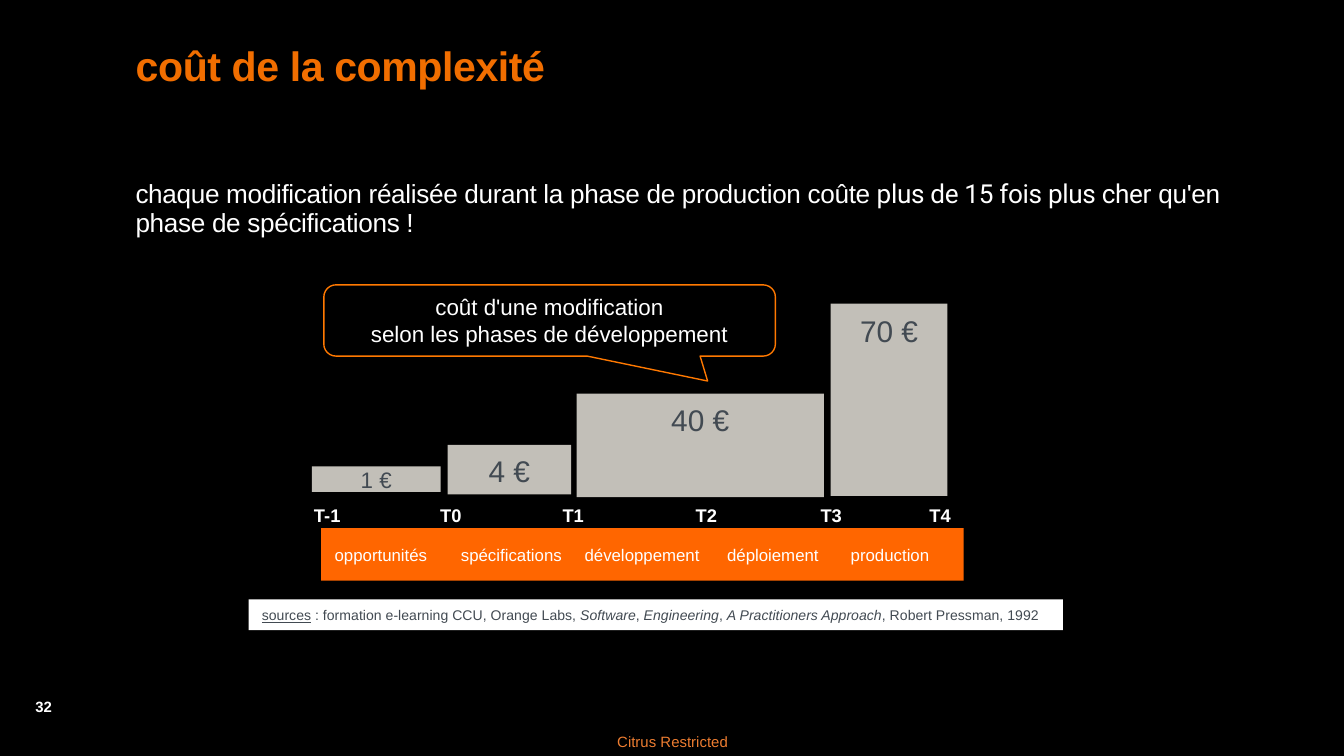
"""Build a slide showing how the cost of a change grows across development phases."""
from pptx import Presentation
from pptx.dml.color import RGBColor
from pptx.enum.shapes import MSO_SHAPE as Preset
from pptx.enum.text import MSO_ANCHOR as Anchor, PP_ALIGN as Align
from pptx.util import Inches, Pt

BLACK = RGBColor(0x00, 0x00, 0x00)
WHITE = RGBColor(0xFF, 0xFF, 0xFF)
TITLE_ORANGE = RGBColor(0xF1, 0x6E, 0x00)
CALLOUT_ORANGE = RGBColor(0xFF, 0x79, 0x00)
BAND_ORANGE = RGBColor(0xFF, 0x66, 0x00)
FOOTER_ORANGE = RGBColor(0xED, 0x7D, 0x31)
GREY = RGBColor(0xC2, 0xBF, 0xB8)
SLATE = RGBColor(0x42, 0x4A, 0x52)

TITLE = "coût de la complexité"
MESSAGE = [
    ("chaque modification réalisée durant la phase de production coûte ", {}),
    ("plus de 15 fois plus cher", {"name": "Roboto"}),
    (" qu'en phase de spécifications !", {}),
]
CALLOUT = "coût d'une modification\vselon les phases de développement"
BARS = [
    ("1 €", 12, 0, (2.32, 3.47, 0.96, 0.19)),
    ("4 €", 16, 0.06, (3.33, 3.31, 0.92, 0.37)),
    ("40 €", 16, 0.06, (4.29, 2.93, 1.84, 0.77)),
    ("70 €", 16, 0.07, (6.18, 2.26, 0.87, 1.43)),
]
SOURCES = [
    ("sources", {"underline": True}),
    (" : formation e-learning CCU, Orange Labs, ", {}),
    ("Software", {"italic": True}),
    (", ", {}),
    ("Engineering", {"italic": True}),
    (", ", {}),
    ("A Practitioners Approach", {"italic": True}),
    (", Robert Pressman, 1992", {}),
]
PHASES = [
    ("opportunités", 2.49, 0.69),
    ("spécifications", 3.43, 0.76),
    ("développement", 4.35, 0.86),
    ("déploiement", 5.41, 0.69),
    ("production", 6.33, 0.59),
]
MILESTONES = [("T-1", 2.21), ("T0", 3.13), ("T1", 4.04),
              ("T2", 5.03), ("T3", 5.96), ("T4", 6.77)]
NO_INSET = (0, 0, 0, 0)
DEFAULT_INSET = (0.1, 0.05, 0.1, 0.05)


def write(shape, content, size, color, bold=False, align=Align.LEFT, anchor=Anchor.TOP,
          inset=DEFAULT_INSET, wrap=True, line_spacing=None, tracking=None):
    frame = shape.text_frame
    frame.word_wrap = wrap
    frame.vertical_anchor = anchor
    (frame.margin_left, frame.margin_top,
     frame.margin_right, frame.margin_bottom) = map(Inches, inset)
    paragraph = frame.paragraphs[0]
    if isinstance(content, str):
        paragraph.text = content
    else:
        for text, styles in content:
            run = paragraph.add_run()
            run.text = text
            for name, value in styles.items():
                setattr(run.font, name, value)
    paragraph.alignment = align
    paragraph.line_spacing = line_spacing
    paragraph.space_before = Pt(0)
    for run in paragraph.runs:
        run.font.name = run.font.name or "Arial"
        run.font.size = Pt(size)
        run.font.bold = bold
        run.font.color.rgb = color
        if tracking is not None:
            run._r.get_or_add_rPr().set("spc", str(round(tracking * 100)))


def add_text(slide, box, content, size, color, **options):
    write(slide.shapes.add_textbox(*map(Inches, box)), content, size, color, **options)


def add_block(slide, preset, box, fill, line=None):
    shape = slide.shapes.add_shape(preset, *map(Inches, box))
    shape.shadow.inherit = False
    shape.fill.solid()
    shape.fill.fore_color.rgb = fill
    if line is None:
        shape.line.fill.background()
    else:
        shape.line.color.rgb = line
        shape.line.width = Pt(0.75)
    return shape


def main():
    presentation = Presentation()
    presentation.slide_width = Inches(10)
    presentation.slide_height = presentation.slide_width * 9 // 16
    slide = presentation.slides.add_slide(presentation.slide_layouts[5])
    slide.background.fill.solid()
    slide.background.fill.fore_color.rgb = BLACK

    add_text(slide, (4.38, 5.4, 1.25, 0.23), "Citrus Restricted", 8, FOOTER_ORANGE,
             align=Align.CENTER, anchor=Anchor.MIDDLE, inset=NO_INSET)
    add_text(slide, (0.1, 5.14, 0.45, 0.24), "32", 8, WHITE, bold=True, align=Align.CENTER)

    title = slide.shapes.title
    title.left, title.top, title.width, title.height = map(Inches, (0.91, 0.29, 8.82, 0.81))
    write(title, TITLE, 22, TITLE_ORANGE, bold=True, line_spacing=0.9, tracking=-0.2)
    add_text(slide, (0.91, 1.3, 8.82, 3.64), MESSAGE, 14, WHITE,
             line_spacing=0.9, tracking=-0.2)

    callout = add_block(slide, Preset.ROUNDED_RECTANGULAR_CALLOUT,
                        (2.41, 2.12, 3.36, 0.53), BLACK, CALLOUT_ORANGE)
    for index, value in enumerate((0.35, 0.85, 0.17)):
        callout.adjustments[index] = value
    write(callout, CALLOUT, 12, WHITE, align=Align.CENTER, anchor=Anchor.MIDDLE,
          inset=(0.07, 0.04, 0.07, 0.04))

    for cost, size, top_inset, box in BARS:
        bar = add_block(slide, Preset.RECTANGLE, box, GREY)
        write(bar, cost, size, SLATE, align=Align.CENTER, inset=(0.1, top_inset, 0.1, 0))

    sources = add_block(slide, Preset.RECTANGLE, (1.85, 4.46, 6.06, 0.23), WHITE)
    write(sources, SOURCES, 7.5, SLATE, anchor=Anchor.MIDDLE)

    add_block(slide, Preset.RECTANGLE, (2.39, 3.93, 4.78, 0.39), BAND_ORANGE)
    for phase, left, width in PHASES:
        add_text(slide, (left, 4.05, width, 0.15), phase, 9, WHITE, inset=NO_INSET, wrap=False)
    for milestone, left in MILESTONES:
        add_text(slide, (left, 3.7, 0.45, 0.27), milestone, 9.8, WHITE,
                 bold=True, align=Align.CENTER)

    presentation.save("out.pptx")


if __name__ == "__main__":
    main()
